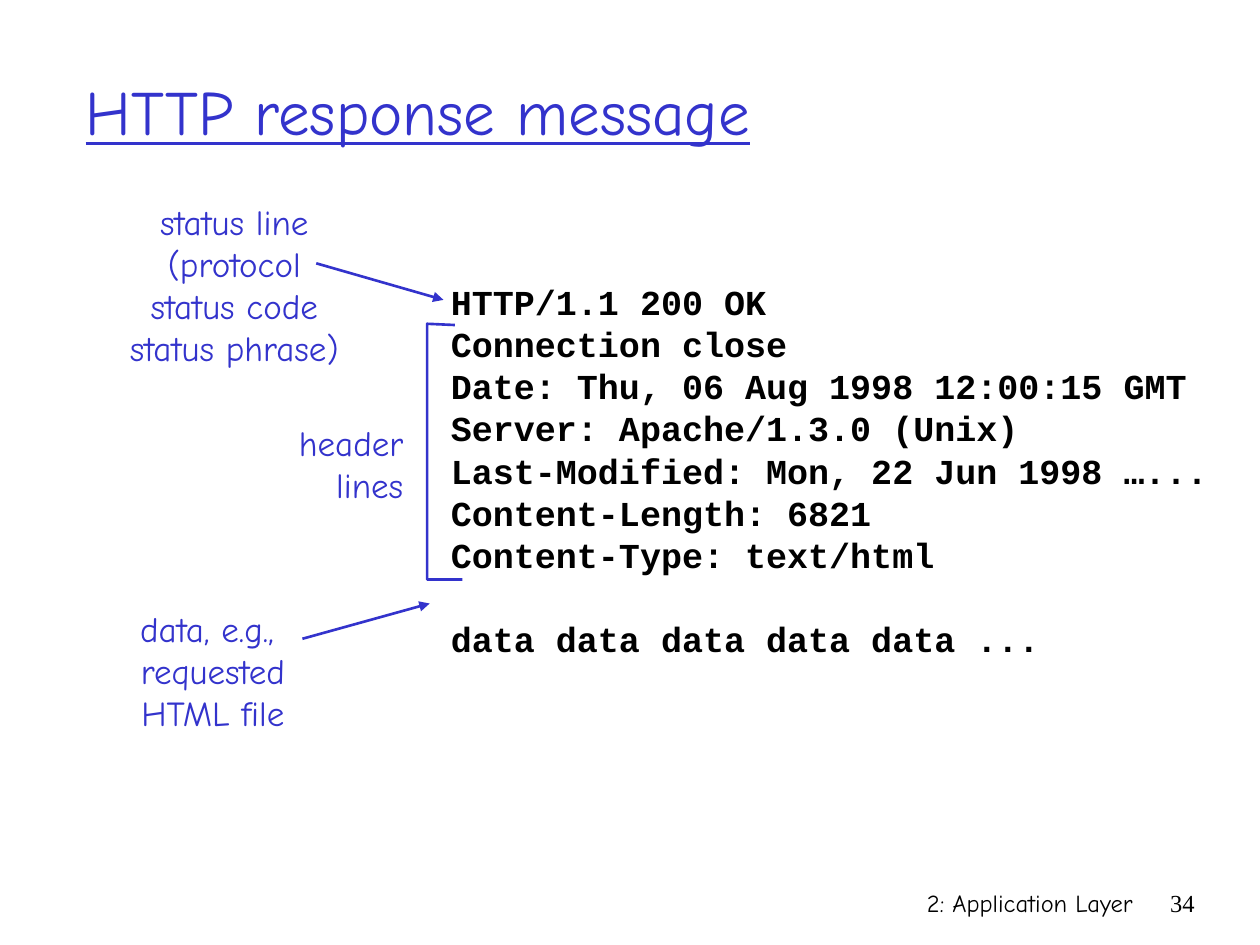
from lxml import etree
from pptx import Presentation
from pptx.dml.color import RGBColor
from pptx.enum.shapes import MSO_CONNECTOR
from pptx.enum.text import MSO_ANCHOR, PP_ALIGN
from pptx.oxml.ns import qn
from pptx.util import Inches, Pt

LEFT, CENTER, RIGHT = PP_ALIGN.LEFT, PP_ALIGN.CENTER, PP_ALIGN.RIGHT
MIDDLE = MSO_ANCHOR.MIDDLE
STRAIGHT = MSO_CONNECTOR.STRAIGHT

COLORS = {"accent": "3333CC", "text": "000000", "background": "FFFFFF"}
HAND, CODE, SERIF = "Comic Neue", "Courier New", "Times New Roman"
LINE_PITCH = Pt(24)
LINE_WIDTH = Pt(1.5)

STATUS_AND_HEADERS = [
    "HTTP/1.1 200 OK",
    "Connection close",
    "Date: Thu, 06 Aug 1998 12:00:15 GMT",
    "Server: Apache/1.3.0 (Unix)",
    "Last-Modified: Mon, 22 Jun 1998 …...",
    "Content-Length: 6821",
    "Content-Type: text/html",
]
BODY = "data data data data data ..."

# Label lines, box (left, top, width, height) and alignment
LABELS = [
    (["status line", "(protocol", "status code", "status phrase)"],
     (0.82, 1.54, 2.08, 1.43), CENTER),
    (["header", "lines"], (2.19, 3.3, 1.11, 0.77), RIGHT),
    (["data, e.g., ", "requested", "HTML file"],
     (0.92, 4.77, 1.54, 1.1), CENTER),
]
ARROWS = [((2.51, 2.09), (3.52, 2.38)), ((2.4, 5.07), (3.41, 4.79))]
BRACKET = [(3.61, 2.58), (3.39, 2.57), (3.39, 4.6), (3.67, 4.6)]


def rgb(name):
    return RGBColor.from_string(COLORS[name])


def style_font(font, name, size, color, bold=False):
    font.name, font.size, font.bold = name, Pt(size), bold
    font.color.rgb = rgb(color)


def style_line(line):
    line.color.rgb = rgb("accent")
    line.width = LINE_WIDTH


def add_title(slide, text):
    title = slide.shapes.title
    title.left, title.top = Inches(0.58), Inches(0.25)
    title.width, title.height = Inches(8.5), Inches(1.25)
    title.text_frame.text = text
    title.text_frame.vertical_anchor = MIDDLE
    paragraph = title.text_frame.paragraphs[0]
    paragraph.alignment = LEFT
    style_font(paragraph.font, HAND, 36, "accent")
    paragraph.font.underline = True


def add_text(slide, lines, box, font, size, color,
             align=LEFT, bold=False, wrap=False, pitch=None):
    frame = slide.shapes.add_textbox(*map(Inches, box)).text_frame
    frame.word_wrap = wrap
    frame.text = "\n".join(lines)
    for paragraph in frame.paragraphs:
        paragraph.alignment = align
        if pitch:
            paragraph.line_spacing = pitch
        style_font(paragraph.font, font, size, color, bold)
    return frame


def add_arrow(slide, start, end):
    arrow = slide.shapes.add_connector(STRAIGHT, *map(Inches, start + end))
    style_line(arrow.line)
    properties = arrow._element.spPr
    etree.SubElement(properties.get_or_add_ln(), qn("a:tailEnd"),
                     type="triangle")
    etree.SubElement(properties, qn("a:effectLst"))


def add_bracket(slide, points):
    # The builder rounds its coordinates, so it is given whole EMU
    start, *rest = [(Inches(x), Inches(y)) for x, y in points]
    builder = slide.shapes.build_freeform(*start)
    builder.add_line_segments(rest, close=False)
    bracket = builder.convert_to_shape()
    bracket.fill.background()
    bracket.shadow.inherit = False
    style_line(bracket.line)


def main():
    deck = Presentation()
    deck.slide_width, deck.slide_height = Inches(10), Inches(7.5)
    slide = deck.slides.add_slide(deck.slide_layouts[5])
    slide.background.fill.solid()
    slide.background.fill.fore_color.rgb = rgb("background")

    # Footer and page number
    add_text(slide, ["2: Application Layer"], (5.92, 7, 3.17, 0.5),
             HAND, 14, "text", RIGHT, wrap=True)
    add_text(slide, ["34"], (9.08, 7, 0.5, 0.5),
             SERIF, 14, "text", RIGHT, wrap=True)

    add_title(slide, "HTTP response message")

    # Response message, with one line of space above its data
    message = add_text(slide, STATUS_AND_HEADERS + [BODY],
                       (3.48, 2.17, 6.37, 3.1), CODE, 20, "text",
                       bold=True, pitch=LINE_PITCH)
    message.margin_top = Inches(0.06)
    message.paragraphs[-1].space_before = LINE_PITCH

    # Labels, arrows and bracket that explain the message parts
    for lines, box, align in LABELS:
        add_text(slide, lines, box, HAND, 20, "accent", align,
                 pitch=LINE_PITCH)
    for start, end in ARROWS:
        add_arrow(slide, start, end)
    add_bracket(slide, BRACKET)

    deck.save("out.pptx")


if __name__ == "__main__":
    main()
